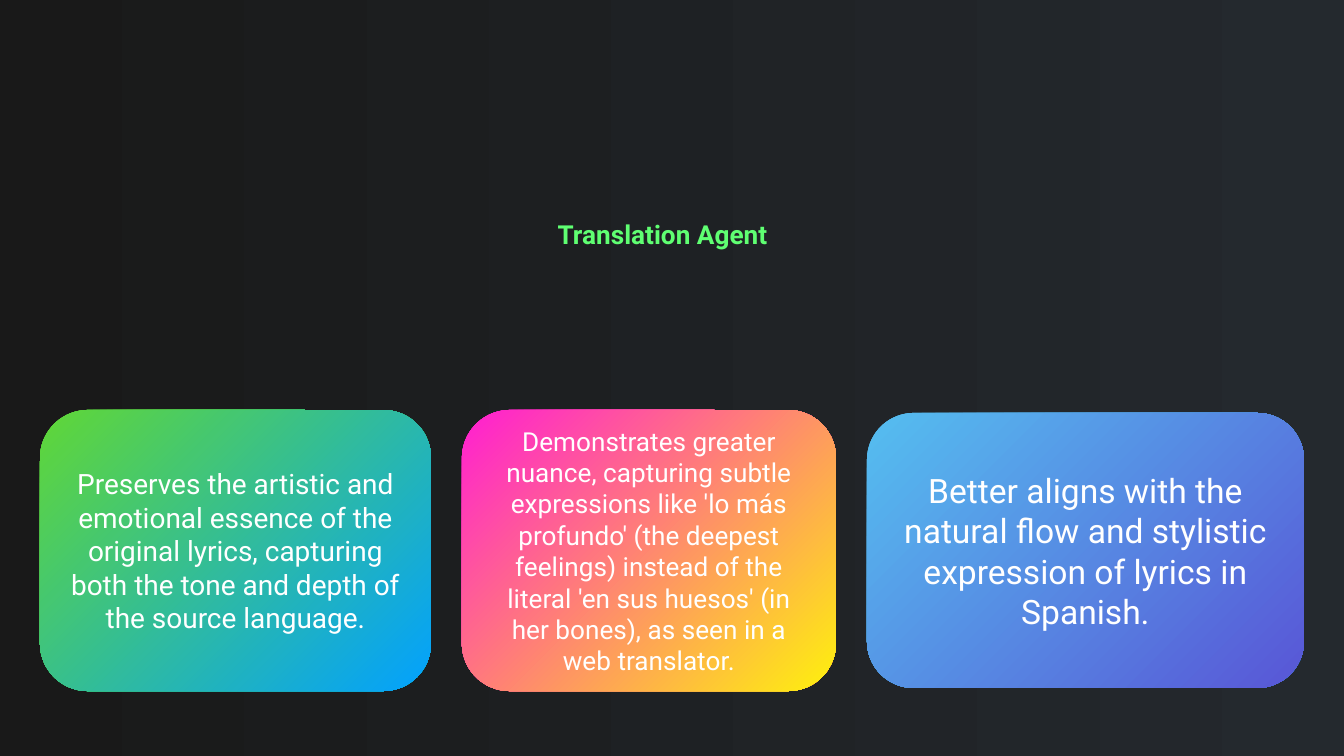
from pptx import Presentation
from pptx import util as u
from pptx.dml.color import RGBColor
from pptx.enum import shapes, text

PX = 914400 / 134.4
SIZE = (1344, 756)
FONT = "Roboto"

WHITE = RGBColor(0xFF, 0xFF, 0xFF)
SLATE = RGBColor(0x24, 0x29, 0x2E)
BLACK = RGBColor(0x19, 0x19, 0x19)
GREEN = RGBColor(0x61, 0xD7, 0x36)
BLUE = RGBColor(0x02, 0xA1, 0xFF)
PINK = RGBColor(0xFF, 0x1E, 0xD2)
YELLOW = RGBColor(0xFE, 0xF1, 0x0D)
SKY = RGBColor(0x55, 0xBE, 0xF0)
INDIGO = RGBColor(0x58, 0x56, 0xD6)
MINT = RGBColor(0x5F, 0xFF, 0x72)
LIME = RGBColor(0xEC, 0xFF, 0x2F)

TITLE = ("Translation Agent", (40, 212, 1245, 151))

# words, box in px, text size, gradient colours
CARDS = [
    ("Preserves the artistic and emotional essence of the original lyrics, "
     "capturing both the tone and depth of the source language.",
     (40, 410, 391, 281), 15, (GREEN, BLUE)),
    ("Demonstrates greater nuance, capturing subtle expressions like "
     "'lo más profundo' (the deepest feelings) instead of the literal "
     "'en sus huesos' (in her bones), as seen in a web translator.",
     (462, 410, 374, 281), 14, (PINK, YELLOW)),
    ("Better aligns with the natural flow and stylistic expression "
     "of lyrics in Spanish.",
     (867, 413, 437, 275), 18, (SKY, INDIGO)),
]


def emu(box):
    return [u.Emu(round(n * PX)) for n in box]


def blend(fill, pair, angle):
    """Fill with a two-colour gradient; the angle runs counter-clockwise."""
    fill.gradient()
    fill.gradient_angle = angle
    for stop, color in zip(fill.gradient_stops, pair):
        stop.color.rgb = color


def write(frame, words, size, color=WHITE, bold=False,
          anchor=text.MSO_ANCHOR.TOP):
    frame.word_wrap = True
    frame.vertical_anchor = anchor
    para = frame.paragraphs[0]
    para.alignment = text.PP_ALIGN.CENTER
    run = para.add_run()
    run.text = words
    font = run.font
    font.name, font.size, font.bold = FONT, u.Pt(size), bold
    if isinstance(color, RGBColor):
        font.color.rgb = color
    else:
        blend(font.fill, color, 45)


def add_card(slide, words, box, size, pair):
    card = slide.shapes.add_shape(
        shapes.MSO_SHAPE.ROUNDED_RECTANGLE, *emu(box))
    card.adjustments[0] = 0.17
    card.shadow.inherit = False
    card.line.fill.background()
    blend(card.fill, pair, 315)
    frame = card.text_frame
    frame.margin_top = frame.margin_bottom = u.Inches(0.1)
    write(frame, words, size, anchor=text.MSO_ANCHOR.MIDDLE)


def main():
    deck = Presentation()
    deck.slide_width, deck.slide_height = emu(SIZE)
    slide = deck.slides.add_slide(deck.slide_layouts[6])
    blend(slide.background.fill, (SLATE, BLACK), 180)
    for card in CARDS:
        add_card(slide, *card)
    words, box = TITLE
    title = slide.shapes.add_textbox(*emu(box))
    write(title.text_frame, words, 14, color=(MINT, LIME), bold=True)
    deck.save("out.pptx")


if __name__ == "__main__":
    main()
